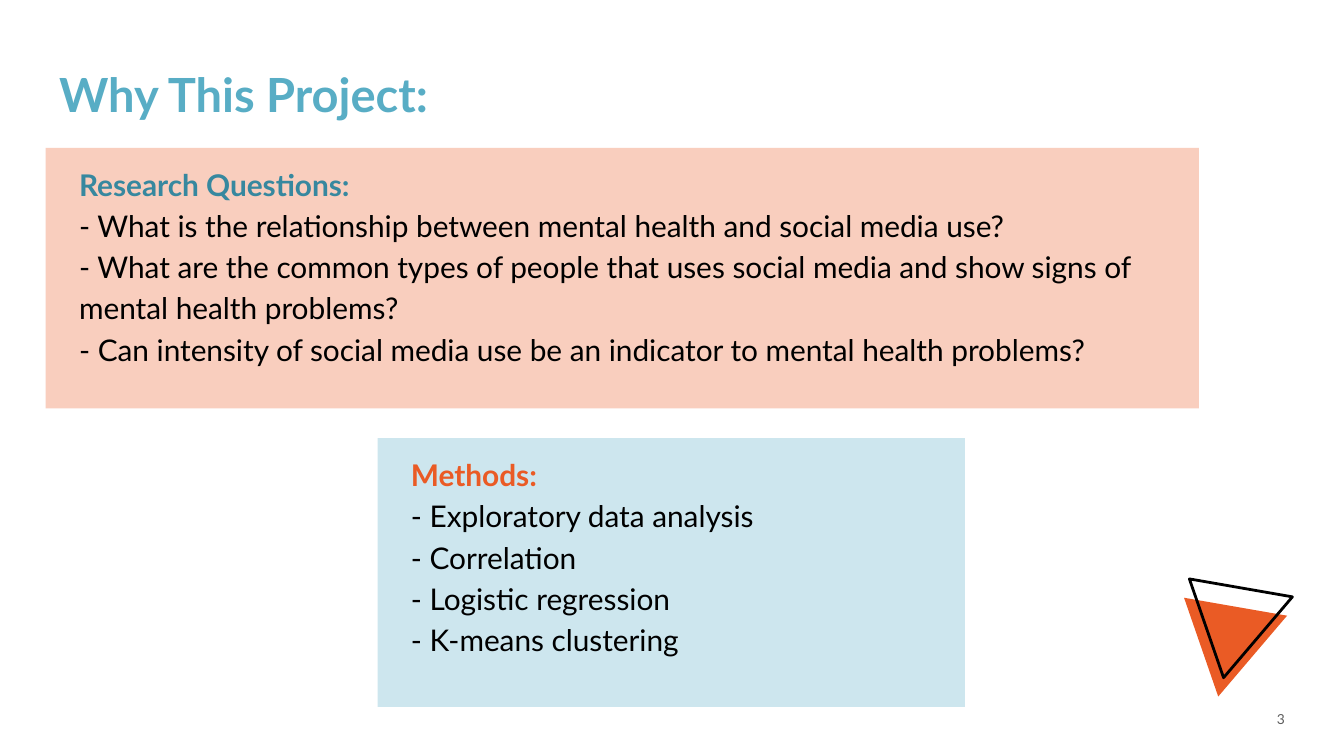
"""Build the project motivation slide with research questions and methods."""
from dataclasses import dataclass

from pptx import Presentation
from pptx.dml.color import RGBColor as Rgb
from pptx.enum.shapes import MSO_SHAPE as Shape
from pptx.enum.text import MSO_ANCHOR as Anchor, MSO_AUTO_SIZE as AutoSize, PP_ALIGN as Align
from pptx.util import Inches, Pt


@dataclass(frozen=True)
class Theme:
    font: str = "Lato"
    title: str = "58ADC5"
    teal: str = "37889F"
    orange: str = "EA5B25"
    peach: str = "F9CEBE"
    pale_blue: str = "CDE6EE"
    black: str = "000000"
    grey: str = "5D5D5D"
    title_size: float = 25.2
    body_size: float = 16
    number_size: float = 7.4


theme = Theme()


def style_frame(frame, anchor):
    frame.word_wrap = True
    frame.auto_size = AutoSize.NONE
    frame.vertical_anchor = anchor
    frame.margin_left = frame.margin_right = Inches(0.1)
    frame.margin_top = frame.margin_bottom = Inches(0.1)


def style_paragraph(paragraph, size, color, bold=False, align=Align.LEFT, spacing=1.0):
    paragraph.alignment = align
    paragraph.line_spacing = spacing
    paragraph.font.name = theme.font
    paragraph.font.size = Pt(size)
    paragraph.font.bold = bold
    paragraph.font.color.rgb = Rgb.from_string(color)


deck = Presentation()
deck.slide_width = Inches(10)
deck.slide_height = deck.slide_width * 9 // 16
slide = deck.slides.add_slide(deck.slide_layouts[5])

title = slide.shapes.title
title.left, title.top = Inches(0.34), Inches(0.38)
title.width, title.height = Inches(8.91), Inches(0.63)
title.text = "Why This Project:"
style_frame(title.text_frame, Anchor.MIDDLE)
style_paragraph(title.text_frame.paragraphs[0], theme.title_size, theme.title, bold=True)

page_number = slide.shapes.add_textbox(Inches(9.26), Inches(5.21), Inches(0.4), Inches(0.3))
page_number.text_frame.text = "3"
style_frame(page_number.text_frame, Anchor.MIDDLE)
style_paragraph(page_number.text_frame.paragraphs[0], theme.number_size, theme.grey,
                align=Align.RIGHT, spacing=0.8)

panels = [
    ((0.34, 1.1, 8.58, 1.94), theme.peach, theme.teal, [
        "Research Questions:",
        "- What is the relationship between mental health and social media use?",
        "- What are the common types of people that uses social media and show signs of "
        "mental health problems?",
        "- Can intensity of social media use be an indicator to mental health problems?",
    ]),
    ((2.81, 3.26, 4.37, 2), theme.pale_blue, theme.orange, [
        "Methods:",
        "- Exploratory data analysis",
        "- Correlation",
        "- Logistic regression",
        "- K-means clustering",
    ]),
]
for bounds, fill, heading_color, lines in panels:
    panel = slide.shapes.add_shape(Shape.RECTANGLE, *map(Inches, bounds))
    panel.shadow.inherit = False
    panel.fill.solid()
    panel.fill.fore_color.rgb = Rgb.from_string(fill)
    panel.line.fill.background()
    panel.text_frame.text = "\n".join(lines)
    style_frame(panel.text_frame, Anchor.TOP)
    for index, paragraph in enumerate(panel.text_frame.paragraphs):
        is_heading = index == 0
        paragraph_properties = paragraph._p.get_or_add_pPr()
        paragraph_properties.set("marL", str(Inches(0.15)))
        paragraph_properties.set("indent", "0")
        style_paragraph(paragraph, theme.body_size,
                        heading_color if is_heading else theme.black,
                        bold=is_heading, spacing=1.15)

for left, top, filled in [(8.67, 4.33, True), (8.71, 4.19, False)]:
    triangle = slide.shapes.add_shape(Shape.ISOSCELES_TRIANGLE, Inches(left), Inches(top),
                                      Inches(0.79), Inches(0.67))
    triangle.rotation = 310.4
    triangle.shadow.inherit = False
    if filled:
        triangle.fill.solid()
        triangle.fill.fore_color.rgb = Rgb.from_string(theme.orange)
        triangle.line.fill.background()
    else:
        triangle.fill.background()
        triangle.line.color.rgb = Rgb.from_string(theme.black)
        triangle.line.width = Pt(1.5)

deck.save("out.pptx")
